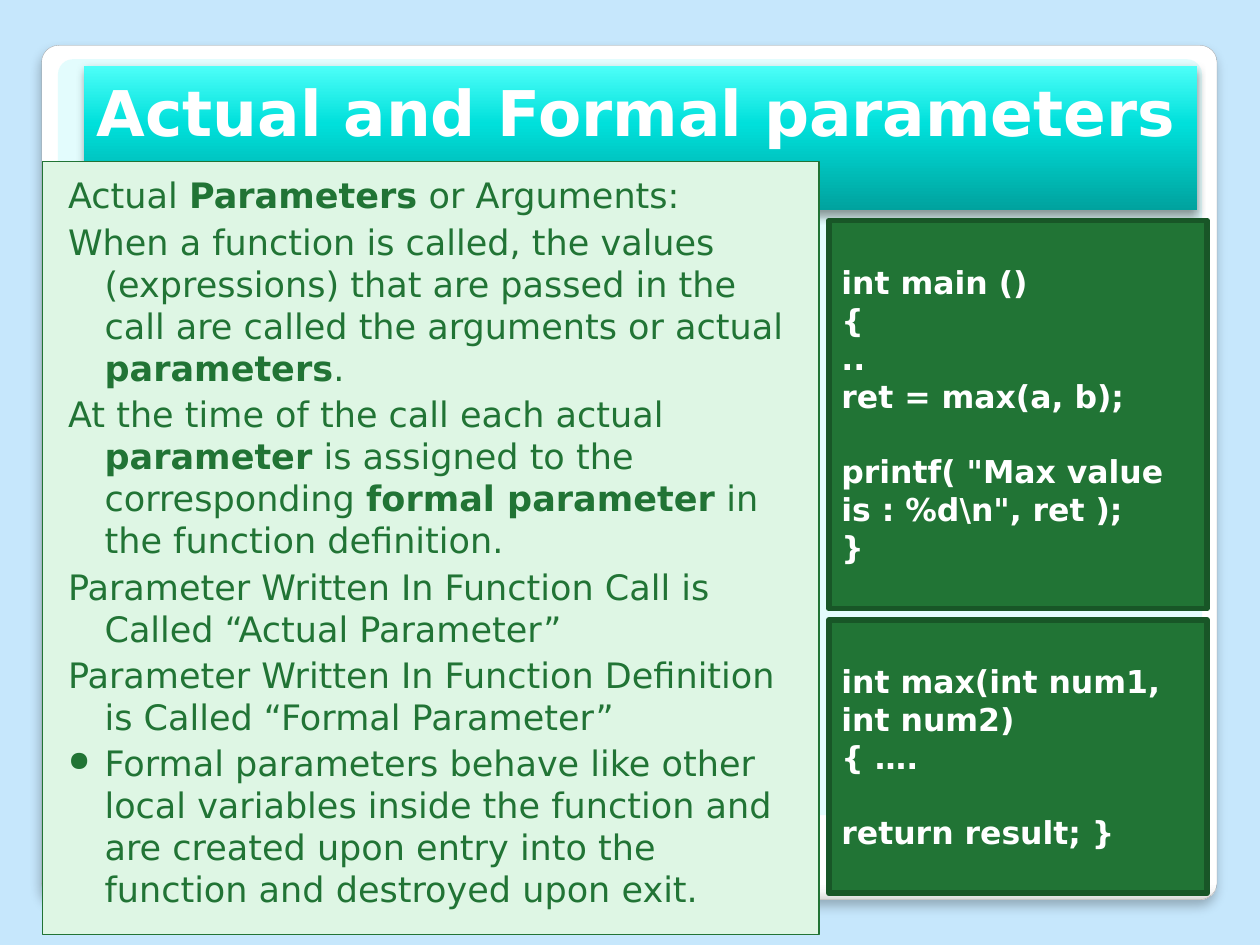
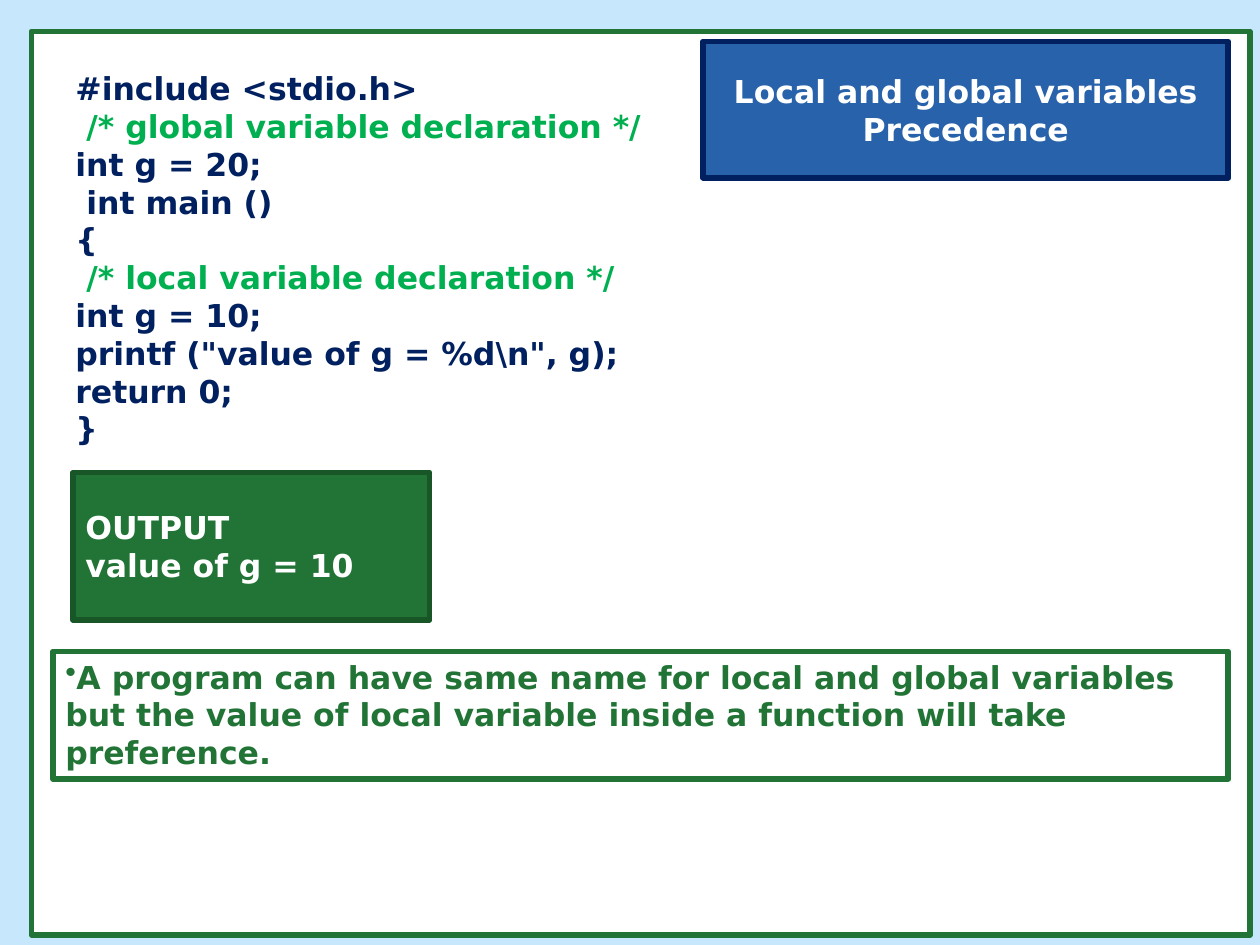
from lxml import etree
from pptx import Presentation
from pptx.dml.color import RGBColor
from pptx.enum.shapes import MSO_SHAPE
from pptx.enum.text import MSO_ANCHOR, PP_ALIGN
from pptx.oxml.ns import qn
from pptx.util import Inches, Pt

RECT, ROUND_RECT = MSO_SHAPE.RECTANGLE, MSO_SHAPE.ROUNDED_RECTANGLE
TOP, MIDDLE, BOTTOM = MSO_ANCHOR.TOP, MSO_ANCHOR.MIDDLE, MSO_ANCHOR.BOTTOM
LEFT, CENTER = PP_ALIGN.LEFT, PP_ALIGN.CENTER

FONT = "DejaVu Sans"
SKY, WHITE, MINT = "C6E7FC", "FFFFFF", "DEF6E4"
GREEN, DARK_GREEN, COMMENT_GREEN = "217435", "185627", "00B050"
BLUE, NAVY = "2862AA", "002060"
THICK = 3.35
CODE_LINE = 21.5  # height in points of one 18 pt line

PARAMETER_NOTES = [
    "Actual **Parameters** or Arguments:",
    "When a function is called, the values (expressions) that are passed in "
    "the call are called the arguments or actual **parameters**.",
    "At the time of the call each actual **parameter** is assigned to the "
    "corresponding **formal parameter** in the function definition.",
    "Parameter Written In Function Call is Called “Actual Parameter”",
    "Parameter Written In Function Definition is Called “Formal Parameter”",
    "Formal parameters behave like other local variables inside the function "
    "and are created upon entry into the function and destroyed upon exit.",
]
CALLER_CODE = ["int main ()", "{", "..", "ret = max(a, b);", "",
               'printf( "Max value is : %d\\n", ret );', "}"]
CALLEE_CODE = ["int max(int num1, int num2)", "{ ….", "", "return result; }"]
SCOPE_CODE = ["#include <stdio.h>", " /* global variable declaration */",
              "int g = 20;", " int main ()", "{",
              " /* local variable declaration */", "int g = 10;",
              'printf ("value of g = %d\\n", g);', "return 0;", "}"]
PRECEDENCE_NOTE = ("A program can have same name for local and global variables "
                   "but the value of local variable inside a function will take "
                   "preference.")


def rgb(color):
    return RGBColor.from_string(color)


def add_xml(parent, tag, **attrs):
    return etree.SubElement(parent, qn(tag), {k: str(v) for k, v in attrs.items()})


def add_box(slide, at, fill=None, line=None, width=THICK, kind=RECT):
    sp = slide.shapes.add_shape(kind, *map(Inches, at))
    sp.shadow.inherit = False
    if fill:
        sp.fill.solid()
        sp.fill.fore_color.rgb = rgb(fill)
    if line:
        sp.line.color.rgb = rgb(line)
        sp.line.width = Pt(width)
    else:
        sp.line.fill.background()
    return sp


def set_gradient(sp, stops, angle):
    """Fill with (percent, colour) stops; the angle runs clockwise."""
    sp.fill.gradient()
    grad = sp._element.spPr.find(qn("a:gradFill"))
    for child in list(grad):
        grad.remove(child)
    stop_list = add_xml(grad, "a:gsLst")
    for percent, color in stops:
        stop = add_xml(stop_list, "a:gs", pos=percent * 1000)
        add_xml(stop, "a:srgbClr", val=color)
    add_xml(grad, "a:lin", ang=angle * 60000, scaled=0)


def set_drop_shadow(sp, opacity, blur, distance):
    effects = sp._element.spPr.find(qn("a:effectLst"))
    shadow = add_xml(effects, "a:outerShdw", blurRad=Pt(blur), dist=Pt(distance),
                     dir=90 * 60000, algn="t", rotWithShape=0)
    color = add_xml(shadow, "a:srgbClr", val="000000")
    add_xml(color, "a:alpha", val=opacity * 1000)


def set_bullet(p, char, color=None, percent=100):
    """Give a bullet; call before the paragraph's font is set."""
    ppr = p._p.get_or_add_pPr()
    if color:
        add_xml(add_xml(ppr, "a:buClr"), "a:srgbClr", val=color)
    add_xml(ppr, "a:buSzPct", val=percent * 1000)
    add_xml(ppr, "a:buChar", char=char)


def set_font(p, color, size=18, bold=True):
    p.font.name = FONT
    p.font.size = Pt(size)
    p.font.bold = bold
    p.font.color.rgb = rgb(color)


def setup_frame(sp, anchor):
    tf = sp.text_frame
    tf.word_wrap = True
    tf.vertical_anchor = anchor
    return tf


def next_paragraph(tf):
    first = tf.paragraphs[0]
    return tf.add_paragraph() if first.runs else first


def write_lines(sp, lines, color=WHITE, anchor=MIDDLE, align=LEFT, size=18):
    """Write bold lines; an empty one becomes space above the next."""
    tf = setup_frame(sp, anchor)
    gap = 0
    for line in lines:
        if not line:
            gap += CODE_LINE
            continue
        p = next_paragraph(tf)
        p.alignment = align
        p.space_before = Pt(gap)
        gap = 0
        p.add_run().text = line
        is_comment = line.lstrip().startswith("/*")
        set_font(p, COMMENT_GREEN if is_comment else color, size)


def write_notes(sp, notes):
    """Write hanging paragraphs with **bold** parts; the last has a bullet."""
    tf = setup_frame(sp, TOP)
    tf.margin_left, tf.margin_top = Inches(0.2), Inches(0.1)
    for note in notes:
        p = next_paragraph(tf)
        p.alignment = LEFT
        p.space_before = Pt(2.5)
        ppr = p._p.get_or_add_pPr()
        ppr.set("marL", str(Inches(0.29)))
        ppr.set("indent", str(-Inches(0.29)))
        if note is notes[-1]:
            set_bullet(p, "●", GREEN, 80)
        set_font(p, GREEN, 20, False)
        for i, part in enumerate(note.split("**")):
            if part:
                r = p.add_run()
                r.text = part
                if i % 2:
                    r.font.bold = True


def add_text(slide, at, lines, **style):
    write_lines(slide.shapes.add_textbox(*map(Inches, at)), lines, **style)


def add_code_box(slide, at, lines):
    write_lines(add_box(slide, at, GREEN, DARK_GREEN), lines)


def add_titled_panel(slide, title):
    panel = add_box(slide, (0.33, 0.36, 9.33, 6.78), None, "A4A4A4", 0.16, ROUND_RECT)
    set_gradient(panel, [(0, WHITE), (98, WHITE), (99, "F7F7F7"), (100, "DADADA")], 90)
    set_drop_shadow(panel, 25, 6, 4)
    tint = add_box(slide, (0.46, 0.47, 9.08, 6), "C9FAFC", kind=ROUND_RECT)
    color = tint._element.spPr.find(qn("a:solidFill"))[0]
    add_xml(color, "a:alpha", val=50000)
    for sp in (panel, tint):
        sp.adjustments[0] = 0.02
    band = add_box(slide, (0.67, 0.52, 8.83, 1.15))
    set_gradient(band, [(0, "00A29E"), (60, "00E0DB"), (100, "4EFFF9")], 270)
    set_drop_shadow(band, 40, 5.2, 3)
    add_text(slide, (0.67, 0.08, 8.95, 1.15), [title], anchor=BOTTOM, size=36)


def build_parameters(slide):
    add_titled_panel(slide, "Actual and Formal parameters")
    notes = add_box(slide, (0.34, 1.28, 6.16, 6.14), MINT, GREEN, 0.75)
    write_notes(notes, PARAMETER_NOTES)
    add_code_box(slide, (6.58, 1.75, 3, 3.08), CALLER_CODE)
    add_code_box(slide, (6.58, 4.92, 3, 2.17), CALLEE_CODE)


def build_precedence(slide):
    add_box(slide, (0.25, 0.25, 9.67, 7.17), WHITE, GREEN)
    add_text(slide, (0.5, 0.5, 8.58, 3.43), SCOPE_CODE, color=NAVY, anchor=TOP)
    heading = add_box(slide, (5.58, 0.33, 4.17, 1.08), BLUE, NAVY)
    write_lines(heading, ["Local and global variables", "Precedence"], align=CENTER)
    note = add_box(slide, (0.42, 5.17, 9.33, 1.01), WHITE, GREEN)
    set_bullet(note.text_frame.paragraphs[0], "•")
    write_lines(note, [PRECEDENCE_NOTE], GREEN, TOP)
    add_code_box(slide, (0.58, 3.75, 2.83, 1.17), ["OUTPUT", "value of g = 10"])


def main():
    prs = Presentation()
    prs.slide_width, prs.slide_height = Inches(10), Inches(7.5)
    background = prs.slide_master.background.fill
    background.solid()
    background.fore_color.rgb = rgb(SKY)
    for build in (build_parameters, build_precedence):
        build(prs.slides.add_slide(prs.slide_layouts[6]))
    prs.save("out.pptx")


if __name__ == "__main__":
    main()
